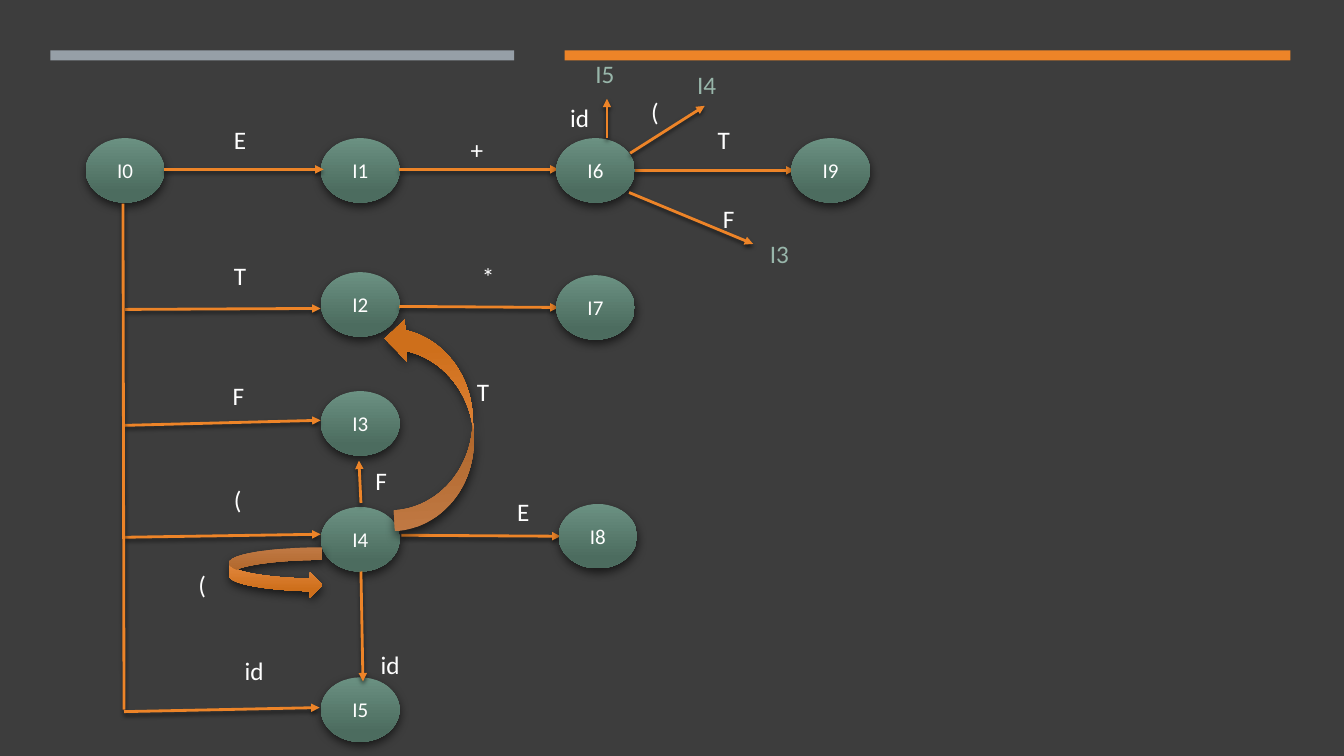
from dataclasses import dataclass

from lxml import etree
from pptx import Presentation
from pptx.dml.color import RGBColor
from pptx.enum.shapes import MSO_CONNECTOR, MSO_SHAPE
from pptx.enum.text import MSO_ANCHOR, MSO_AUTO_SIZE, PP_ALIGN
from pptx.oxml.ns import qn
from pptx.util import Inches, Pt

OVAL = MSO_SHAPE.OVAL
RECT = MSO_SHAPE.RECTANGLE
CURVE = MSO_SHAPE.CURVED_RIGHT_ARROW
STRAIGHT = MSO_CONNECTOR.STRAIGHT
LEFT = PP_ALIGN.LEFT
CENTER = PP_ALIGN.CENTER
MIDDLE = MSO_ANCHOR.MIDDLE
GROW = MSO_AUTO_SIZE.SHAPE_TO_FIT_TEXT

CELL = 0.1
FONT = "Calibri"
DARK, WHITE, GREY = "3D3D3D", "FFFFFF", "969FA7"
ORANGE, SAGE = "ED8428", "98B6AA"
GREENS = ("6B9182", "4C6C5F")
AMBERS = ("F09856", "CE6F1B")
NODE_LEFT, NODE_STEP = 8.5, 23.33
NODE_WIDE, NODE_HIGH = 7.8, 6.4


@dataclass(frozen=True)
class Box:
    col: float
    row: float
    wide: float
    high: float


@dataclass(frozen=True)
class Bar:
    box: Box
    color: str


@dataclass(frozen=True)
class Node:
    name: str
    step: float
    row: float


@dataclass(frozen=True)
class Link:
    col: float
    row: float
    end_col: float
    end_row: float
    arrow: bool = True


@dataclass(frozen=True)
class Label:
    text: str
    col: float
    row: float
    color: str = WHITE
    mid: bool = False


@dataclass(frozen=True)
class Bend:
    box: Box
    turn: float = 0


@dataclass(frozen=True)
class Shade:
    alpha: int
    blur: float
    gap: float
    angle: int


NODE_SHADE = Shade(60, 7, 3, 84)
LINK_SHADE = Shade(55, 3, 2, 90)

BARS = (
    Bar(Box(5, 5, 46, 1), GREY),
    Bar(Box(56, 5, 72, 1), ORANGE),
)
FIRST_NODES = (
    Node("I0", 0, 13.7),
    Node("I1", 1, 13.7),
    Node("I2", 1, 27),
    Node("I3", 1, 38.8),
    Node("I4", 1, 50.3),
    Node("I5", 1, 67.2),
)
NEXT_NODES = (
    Node("I6", 2, 13.7),
    Node("I7", 2, 27.3),
    Node("I8", 2.01, 50),
    Node("I9", 3, 13.7),
)
INNER_LINKS = (
    Link(16.3, 16.8, 32.1, 16.8),
    Link(12.4, 30.7, 31.8, 30.6),
    Link(12.4, 42.2, 31.8, 41.7),
    Link(12.4, 53.3, 31.8, 53),
    Link(12.2, 20.2, 12.3, 70.4, False),
    Link(12.3, 70.6, 31.7, 70.2),
    Link(39.6, 16.8, 55.4, 16.8),
    Link(39.6, 30.4, 55.4, 30.5),
    Link(39.8, 53.1, 55.6, 53.2),
    Link(35.8, 56.7, 36, 67.6),
    Link(35.8, 49.9, 35.6, 45.7),
    Link(63, 16.9, 78.8, 16.9),
)
OUTER_LINKS = (
    Link(62.4, 19.1, 74.7, 24.2),
    Link(62.5, 15.2, 69.9, 10.5),
    Link(60.2, 13.7, 60.2, 9.8),
)
LABELS = (
    Label("E", 22.2, 11.8),
    Label("T", 22.2, 25.3),
    Label("F", 22.1, 37.2),
    Label("(", 22.2, 47.6),
    Label("id", 22.2, 64.5, mid=True),
    Label("+", 45.7, 12.8),
    Label("*", 46.8, 25.4),
    Label("E", 50.3, 48.7),
    Label("id", 35.7, 63.9, mid=True),
    Label("T", 44.9, 36.8, mid=True),
    Label("F", 34.8, 45.7, mid=True),
    Label("I4", 67.1, 6.4, SAGE, True),
    Label("I3", 74.3, 23.2, SAGE, True),
    Label("T", 70.2, 11.8),
    Label("I5", 57, 5.3, SAGE, True),
    Label("(", 63.6, 9.1),
    Label("id", 54.5, 9.7, mid=True),
    Label("F", 70.7, 19.7),
    Label("(", 18.7, 56),
)
BENDS = (
    Bend(Box(38.6, 31.3, 8.3, 21.2), 177),
    Bend(Box(22.7, 54.3, 9.3, 5)),
)


def grid(*cells: float) -> list:
    return [Inches(cell * CELL) for cell in cells]


def tint(code: str) -> RGBColor:
    return RGBColor.from_string(code)


def cast(shape, shade: Shade) -> None:
    effects = etree.SubElement(shape._element.spPr, qn("a:effectLst"))
    outer = etree.SubElement(
        effects, qn("a:outerShdw"), blurRad=str(Pt(shade.blur)),
        dist=str(Pt(shade.gap)), dir=str(shade.angle * 60000), rotWithShape="0")
    black = etree.SubElement(outer, qn("a:srgbClr"), val="000000")
    etree.SubElement(black, qn("a:alpha"), val=str(shade.alpha * 1000))


def write(shape, text: str, size: int, color: str, align) -> None:
    shape.text_frame.text = text
    line = shape.text_frame.paragraphs[0]
    line.alignment = align
    font = line.runs[0].font
    font.name, font.size = FONT, Pt(size)
    font.color.rgb = tint(color)


def draw_bar(slide, bar: Bar) -> None:
    box = bar.box
    shape = slide.shapes.add_shape(RECT, *grid(box.col, box.row, box.wide, box.high))
    shape.fill.solid()
    shape.fill.fore_color.rgb = tint(bar.color)
    shape.line.fill.background()
    shape.shadow.inherit = False


def draw_form(slide, kind, box: Box, colors: tuple):
    shape = slide.shapes.add_shape(kind, *grid(box.col, box.row, box.wide, box.high))
    shape.fill.gradient()
    shape.fill.gradient_angle = 270
    for stop, place, color in zip(shape.fill.gradient_stops, (0, 0.84), colors):
        stop.position = place
        stop.color.rgb = tint(color)
    shape.line.fill.background()
    cast(shape, NODE_SHADE)
    return shape


def draw_node(slide, node: Node) -> None:
    box = Box(NODE_LEFT + node.step * NODE_STEP, node.row, NODE_WIDE, NODE_HIGH)
    shape = draw_form(slide, OVAL, box, GREENS)
    shape.text_frame.vertical_anchor = MIDDLE
    write(shape, node.name, 15, WHITE, CENTER)


def draw_link(slide, link: Link) -> None:
    ends = grid(link.col, link.row, link.end_col, link.end_row)
    line = slide.shapes.add_connector(STRAIGHT, *ends)
    line.line.color.rgb = tint(ORANGE)
    line.line.width = Pt(2)
    if link.arrow:
        etree.SubElement(line.line._ln, qn("a:tailEnd"), type="triangle")
    cast(line, LINK_SHADE)


def draw_label(slide, label: Label) -> None:
    wide = 6 if label.mid else 4.1
    shape = slide.shapes.add_textbox(*grid(label.col, label.row, wide, 4))
    shape.text_frame.word_wrap = True
    shape.text_frame.auto_size = GROW
    write(shape, label.text, 18, label.color, CENTER if label.mid else LEFT)


def draw_bend(slide, bend: Bend) -> None:
    draw_form(slide, CURVE, bend.box, AMBERS).rotation = bend.turn


def main() -> None:
    deck = Presentation()
    deck.slide_width, deck.slide_height = Inches(13.33), Inches(7.5)
    slide = deck.slides.add_slide(deck.slide_layouts[6])
    slide.background.fill.solid()
    slide.background.fill.fore_color.rgb = tint(DARK)
    layers = (
        (draw_bar, BARS),
        (draw_node, FIRST_NODES),
        (draw_link, INNER_LINKS),
        (draw_node, NEXT_NODES),
        (draw_link, OUTER_LINKS),
        (draw_bend, BENDS),
        (draw_label, LABELS),
    )
    for draw, items in layers:
        for item in items:
            draw(slide, item)
    deck.save("out.pptx")


if __name__ == "__main__":
    main()
